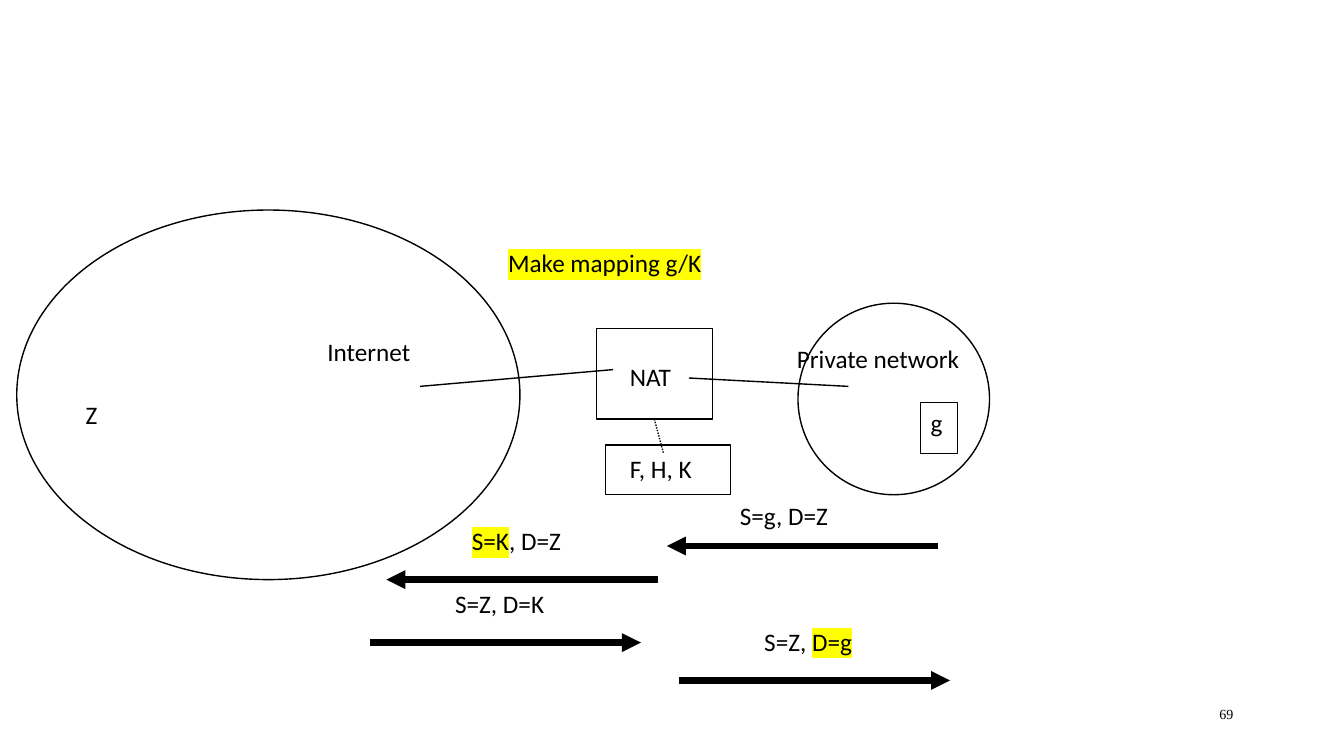
import pptx
import pptx.util
import pptx.dml.color
import pptx.enum.dml
import pptx.enum.shapes
import pptx.enum.text
import pptx.oxml
from pptx.oxml.ns import qn

Shape = pptx.enum.shapes.MSO_SHAPE
Text = pptx.enum.text

# Content: positions are columns and rows of a 160 x 90 grid
COLUMNS, ROWS = 160, 90
OUTLINES = {  # name: (preset, (left, top, width, height), line width)
    "nat": (Shape.RECTANGLE, (71, 39.1, 13.8, 10.8), 1),
    "internet": (Shape.OVAL, (2, 25, 59.9, 44), 1),
    "private": (Shape.OVAL, (95, 36.1, 22.8, 22.8), 1),
    "host g": (Shape.RECTANGLE, (109.6, 47.9, 4.4, 6.1), 0.75),
    "pool": (Shape.RECTANGLE, (72.1, 53, 14.9, 5.9), 1),
}
# Text between asterisks is highlighted
LABELS = [
    ("NAT", (73.8, 42.4, 10.3, 6.1)),
    ("Internet", (37.8, 39.4, 15, 6.1)),
    ("g", (109.6, 47.9, 4.4, 6.1)),
    ("F, H, K", (73.8, 53.4, 14.3, 6.1)),
    ("*Make mapping g/K*", (59.3, 28.9, 77.8, 6.1)),
    ("Private network", (93.7, 40.3, 28.1, 6)),
    ("Z", (9, 47, 4.9, 6)),
]
LINKS = [(50, 46, 73, 44), (82, 45, 101, 46)]
POOL_LINK = (78, 50, 79, 54)
PACKETS = [  # label, arrow's left end, row, direction, label offset, label width
    ("S=g, D=Z", 79.4, 65, "left", (7.5, -6), 18.6),
    ("*S=K*, D=Z", 46, 69, "left", (9, -7), 19.6),
    ("S=Z, D=K", 44, 76.5, "right", (9, -7), 19.6),
    ("S=Z, *D=g*", 80.8, 81, "right", (9, -7), 18.6),
]
ARROW_LENGTH, LABEL_HEIGHT = 32.3, 6
PAGE_NUMBER = ("69", (113.3, 82, 34.7, 6))


class Theme:
    ink = pptx.dml.color.RGBColor(0, 0, 0)
    highlight = "FFFF00"
    body = {"name": "Calibri", "size": pptx.util.Pt(18)}
    number = {"name": "Times New Roman", "size": pptx.util.Pt(10)}
    thin, thick = 1, 4.5


deck = pptx.Presentation()
deck.slide_width = pptx.util.Inches(13.33)
deck.slide_height = pptx.util.Inches(7.5)
slide = deck.slides.add_slide(deck.slide_layouts[6])


def place(box):
    """Turn grid pairs (column, row, column, row) into slide lengths."""
    steps = (deck.slide_width / COLUMNS, deck.slide_height / ROWS) * 2
    return [round(value * step) for value, step in zip(box, steps)]


def add_outline(preset, box, weight):
    outline = slide.shapes.add_shape(preset, *place(box))
    outline.shadow.inherit = False
    outline.fill.background()
    outline.line.color.rgb = Theme.ink
    outline.line.width = pptx.util.Pt(weight)
    return outline


def add_label(wording, box, style=Theme.body):
    label = slide.shapes.add_textbox(*place(box))
    label.text_frame.word_wrap = False
    line = label.text_frame.paragraphs[0]
    for index, part in enumerate(wording.split("*")):
        if not part:
            continue
        run = line.add_run()
        run.text = part
        run.font.color.rgb = Theme.ink
        if index % 2:
            mark = pptx.oxml.parse_xml(
                '<a:highlight xmlns:a="http://schemas.openxmlformats.org/drawingml/2006/main">'
                f'<a:srgbClr val="{Theme.highlight}"/></a:highlight>')
            run.font.fill._xPr.append(mark)
        for attribute, value in style.items():
            setattr(run.font, attribute, value)
    return label


def add_line(ends, weight=Theme.thin, arrow=False):
    line = slide.shapes.add_connector(
        pptx.enum.shapes.MSO_CONNECTOR.STRAIGHT, *place(ends))
    line.line.color.rgb = Theme.ink
    line.line.width = pptx.util.Pt(weight)
    if arrow:
        tip = pptx.oxml.parse_xml(
            '<a:tailEnd xmlns:a="http://schemas.openxmlformats.org/drawingml/2006/main"'
            ' type="triangle"/>')
        line.line._get_or_add_ln().append(tip)
    properties = line._element.spPr
    properties.append(properties.makeelement(qn("a:effectLst"), {}))
    return line


# Networks, translator and address pool
outlines = {name: add_outline(*parts) for name, parts in OUTLINES.items()}
for wording, box in LABELS:
    add_label(wording, box)

# Links
for ends in LINKS:
    add_line(ends)
pool_link = add_line(POOL_LINK)
pool_link.line.dash_style = pptx.enum.dml.MSO_LINE.ROUND_DOT
pool_link.begin_connect(outlines["nat"], 2)

# Packets
for wording, left, row, direction, (across, down), width in PACKETS:
    start, stop = left, left + ARROW_LENGTH
    if direction == "left":
        start, stop = stop, start
    add_line((start, row, stop, row), Theme.thick, arrow=True)
    add_label(wording, (left + across, row + down, width, LABEL_HEIGHT))

# Page number
page_number = add_label(*PAGE_NUMBER, Theme.number)
page_number.text_frame.vertical_anchor = Text.MSO_ANCHOR.MIDDLE
page_number.text_frame.paragraphs[0].alignment = Text.PP_ALIGN.RIGHT

deck.save("out.pptx")
